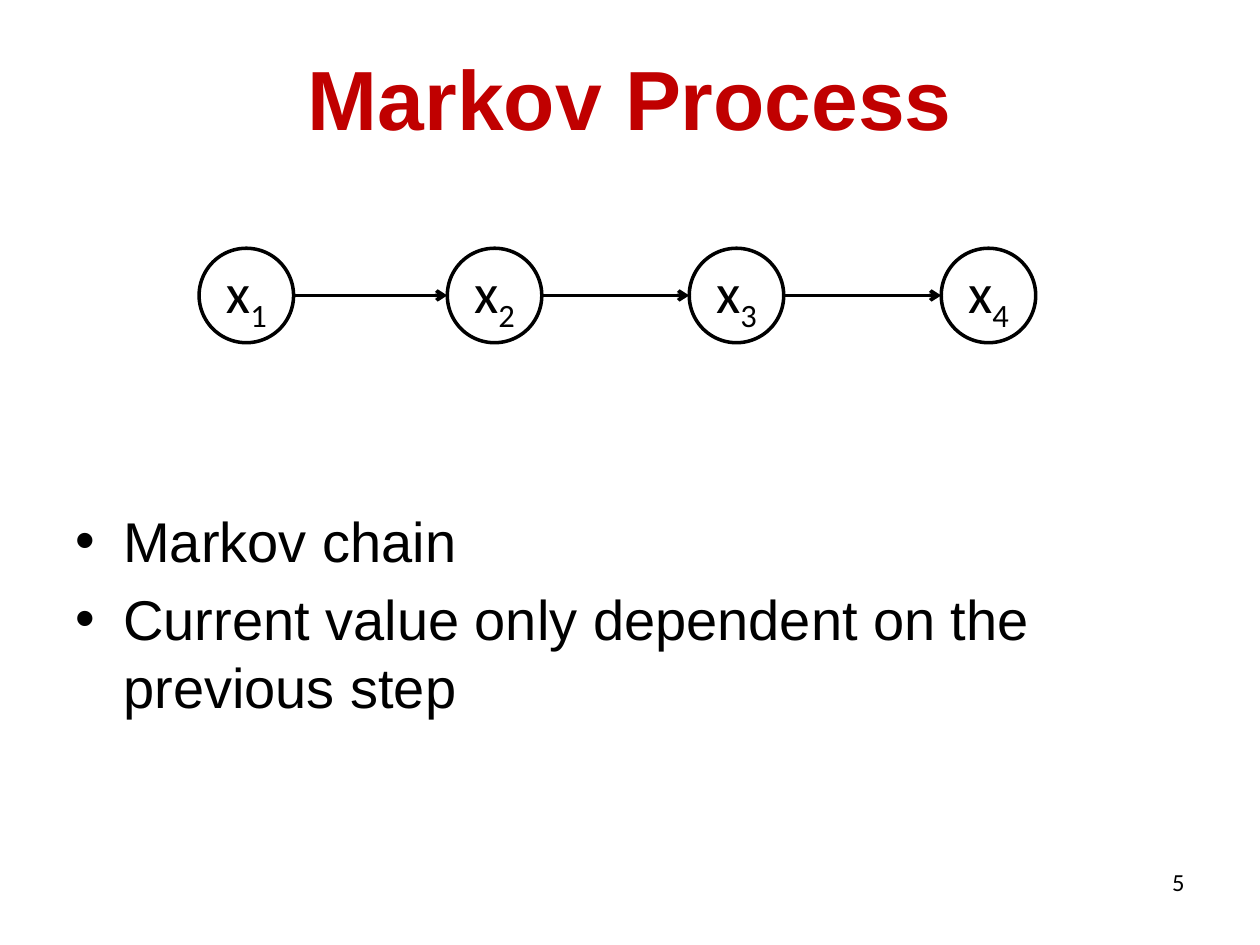
from lxml import etree
from pptx import Presentation
from pptx import util as u
from pptx.dml.color import RGBColor
from pptx.enum import shapes, text
from pptx.oxml.ns import qn

BLACK, WHITE, RED = "000000", "FFFFFF", "C00000"
NODE_SIZE = 0.75
NODE_LEFTS = (1.58, 3.55, 5.47, 7.47)


def color(value):
    return RGBColor.from_string(value)


def inches(box):
    return [u.Inches(value) for value in box]


def apply(target, **formats):
    for name, value in formats.items():
        setattr(target, name, value)


def add_span(para, words, size, font="Arial", fill=BLACK, bold=False):
    span = para.add_run()
    span.text = words
    apply(span.font, size=u.Pt(size), name=font, bold=bold)
    span.font.color.rgb = color(fill)
    return span


def add_text_frame(page, box, anchor=text.MSO_ANCHOR.TOP):
    frame = page.shapes.add_textbox(*inches(box)).text_frame
    apply(frame, word_wrap=True, vertical_anchor=anchor)
    return frame


def add_title(page, box, words):
    para = add_text_frame(page, box, text.MSO_ANCHOR.MIDDLE).paragraphs[0]
    para.alignment = text.PP_ALIGN.CENTER
    add_span(para, words, 48, fill=RED, bold=True)


def add_bullets(page, box, lines):
    frame = add_text_frame(page, box)
    indent = u.Inches(0.38)
    for index, line in enumerate(lines):
        para = frame.add_paragraph() if index else frame.paragraphs[0]
        para.space_before = u.Pt(6.4)
        add_span(para, line, 32)
        props = para._p.get_or_add_pPr()
        props.set("marL", str(indent))
        props.set("indent", str(-indent))
        etree.SubElement(props, qn("a:buFont"), typeface="Arial")
        etree.SubElement(props, qn("a:buChar"), char="•")


def add_page_number(page, box, number):
    para = add_text_frame(page, box).paragraphs[0]
    para.alignment = text.PP_ALIGN.RIGHT
    add_span(para, number, 14, "Calibri")


def style_line(line):
    line.color.rgb = color(BLACK)
    line.width = u.Pt(2)


def add_node(page, left, top, index):
    node = page.shapes.add_shape(
        shapes.MSO_SHAPE.OVAL, *inches((left, top, NODE_SIZE, NODE_SIZE)))
    node.shadow.inherit = False
    node.fill.solid()
    node.fill.fore_color.rgb = color(WHITE)
    style_line(node.line)
    frame = node.text_frame
    apply(frame, word_wrap=False, vertical_anchor=text.MSO_ANCHOR.MIDDLE)
    para = frame.paragraphs[0]
    para.alignment = text.PP_ALIGN.CENTER
    add_span(para, "x", 32, "Calibri")
    subscript = add_span(para, str(index), 32, "Calibri")
    subscript.font._element.set("baseline", "-25000")


def add_arrow(page, start, end, height):
    arrow = page.shapes.add_connector(
        shapes.MSO_CONNECTOR.STRAIGHT, *inches((start, height, end, height)))
    style_line(arrow.line)
    etree.SubElement(arrow.line._get_or_add_ln(), qn("a:tailEnd"), type="arrow")
    etree.SubElement(arrow._element.spPr, qn("a:effectLst"))


def add_chain(page, top, lefts):
    """Draw numbered nodes at the given lefts, each with an arrow to the next."""
    for index, left in enumerate(lefts, start=1):
        add_node(page, left, top, index)
    for left, following in zip(lefts, lefts[1:]):
        add_arrow(page, left + NODE_SIZE, following, top + NODE_SIZE / 2)


def main():
    deck = Presentation()
    apply(deck, slide_width=u.Inches(10), slide_height=u.Inches(7.5))
    page = deck.slides.add_slide(deck.slide_layouts[6])
    add_title(page, (0, 0.12, 10, 1.29), "Markov Process")
    add_chain(page, 1.97, NODE_LEFTS)
    add_bullets(page, (0.5, 3.97, 8.65, 2.73), (
        "Markov chain",
        "Current value only dependent on the previous step",
    ))
    add_page_number(page, (7.17, 6.83, 2.33, 0.52), "5")
    deck.save("out.pptx")


if __name__ == "__main__":
    main()
